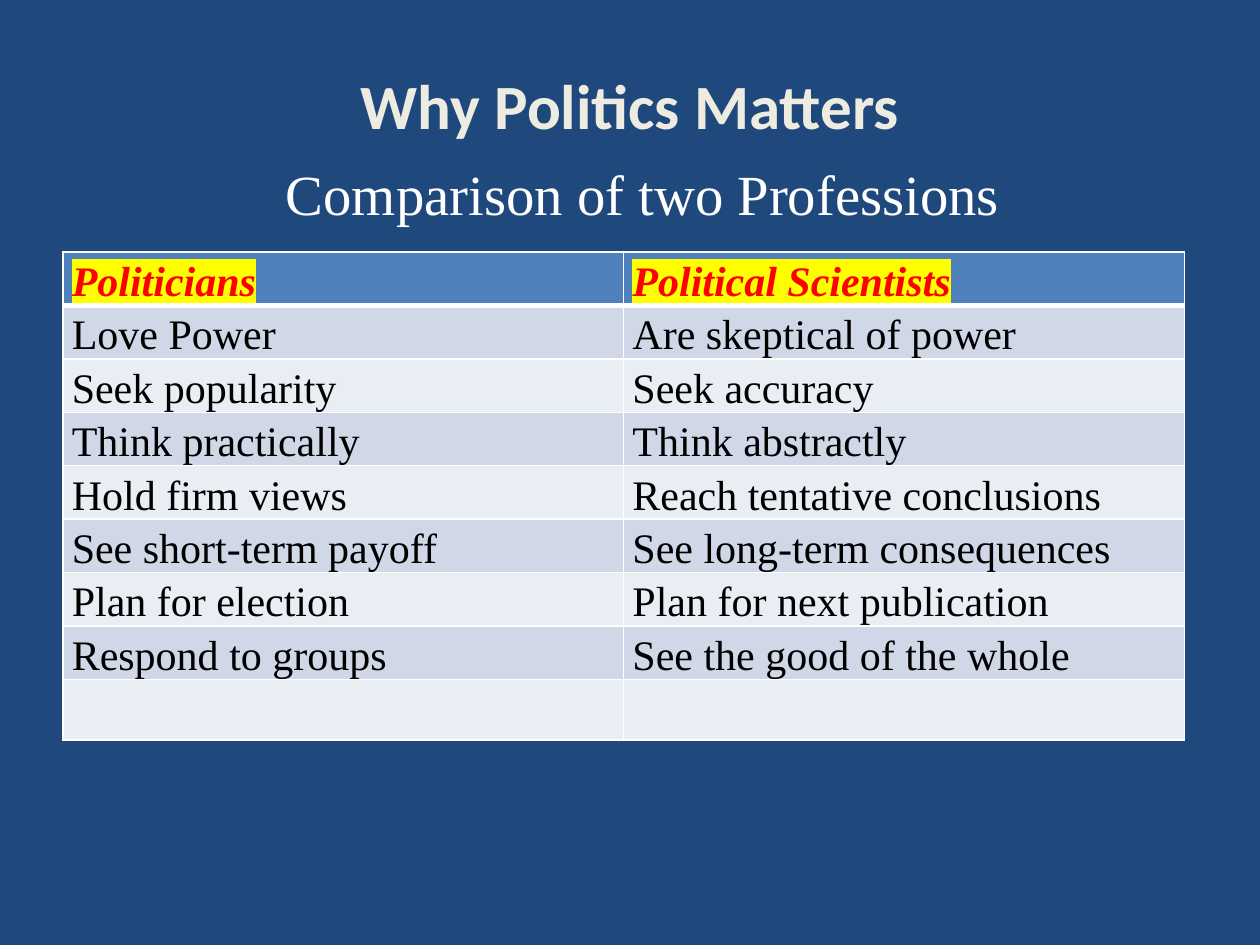
from lxml.etree import SubElement
from pptx import Presentation
from pptx.dml.color import RGBColor
from pptx.enum.text import MSO_ANCHOR, PP_ALIGN
from pptx.oxml.ns import qn
from pptx.util import Inches, Pt

HUES = {"back": "1F497D", "head": "4F81BD", "odd": "D0D8E8", "even": "E9EDF4",
        "white": "FFFFFF", "cream": "EEECE1", "red": "FF0000",
        "black": "000000", "mark": "FFFF00"}
SERIF, SANS = "Times New Roman", "Calibri"
ROWS = [
    ("Politicians", "Political Scientists"),
    ("Love Power", "Are skeptical of power"),
    ("Seek popularity", "Seek accuracy"),
    ("Think practically", "Think abstractly"),
    ("Hold firm views", "Reach tentative conclusions"),
    ("See short-term payoff", "See long-term consequences"),
    ("Plan for election", "Plan for next publication"),
    ("Respond to groups", "See the good of the whole"),
    ("", ""),
]


class Deck:
    """Holds the style and the current slide; boxes are shares of its size."""

    def __init__(self, wide, high):
        self.prs = Presentation()
        self.prs.slide_width, self.prs.slide_height = Inches(wide), Inches(high)
        self.slide = self.prs.slides.add_slide(self.prs.slide_layouts[5])
        self.paint(self.slide.background.fill, "back")

    def paint(self, fill, hue):
        fill.solid()
        fill.fore_color.rgb = RGBColor.from_string(HUES[hue])

    def area(self, x, y, w, h):
        wide, high = self.prs.slide_width, self.prs.slide_height
        return int(x * wide), int(y * high), int(w * wide), int(h * high)

    def add_text(self, para, text, size, hue, face=SERIF, bold=False,
                 slant=False, mark=None):
        run = para.add_run()
        run.text = text
        font = run.font
        font.size, font.name, font.bold, font.italic = Pt(size), face, bold, slant
        font.color.rgb = RGBColor.from_string(HUES[hue])
        if mark:
            props = run._r.get_or_add_rPr()
            light = SubElement(props, qn("a:highlight"))
            SubElement(light, qn("a:srgbClr"), val=HUES[mark])
            props.find(qn("a:solidFill")).addnext(light)

    def fit(self, frame, anchor):
        frame.word_wrap = True
        frame.vertical_anchor = anchor
        para = frame.paragraphs[0]
        para.alignment = PP_ALIGN.CENTER
        return para

    def title(self, box, text, size, hue):
        shape = self.slide.shapes.title
        shape.left, shape.top, shape.width, shape.height = self.area(*box)
        shape.text_frame.margin_bottom = 0
        para = self.fit(shape.text_frame, MSO_ANCHOR.BOTTOM)
        self.add_text(para, text, size, hue)

    def label(self, box, text, size, hue, **look):
        shape = self.slide.shapes.add_textbox(*self.area(*box))
        para = self.fit(shape.text_frame, MSO_ANCHOR.MIDDLE)
        self.add_text(para, text, size, hue, **look)

    def edge(self, cell, **sides):
        """Draws white cell borders, given as side=points."""
        props = cell._tc.get_or_add_tcPr()
        for side, size in sides.items():
            line = SubElement(props, qn(f"a:ln{side}"), w=str(Pt(size)))
            fill = SubElement(line, qn("a:solidFill"))
            SubElement(fill, qn("a:srgbClr"), val=HUES["white"])

    def table(self, box, rows, high, last):
        grid = self.slide.shapes.add_table(
            len(rows), len(rows[0]), *self.area(*box)).table
        for r, row in enumerate(rows):
            grid.rows[r].height = Inches(last if r == len(rows) - 1 else high)
            for c, text in enumerate(row):
                self.cell(grid.cell(r, c), r, text)

    def cell(self, cell, r, text):
        self.edge(cell, L=1, R=1, T=3 if r == 1 else 1, B=3 if r == 0 else 1)
        self.paint(cell.fill, "head" if r == 0 else "odd" if r % 2 else "even")
        if not text:
            return
        cell.margin_left = cell.margin_right = Inches(0.07)
        cell.margin_top = cell.margin_bottom = 0
        para = cell.text_frame.paragraphs[0]
        para.alignment, para.line_spacing = PP_ALIGN.JUSTIFY, 1.15
        if r == 0:
            self.add_text(para, text, 24, "red", bold=True, slant=True, mark="mark")
        else:
            self.add_text(para, text, 24, "black")


def main():
    deck = Deck(10, 7.5)
    # Shares go to two decimals of an inch on this slide.
    deck.title((0.07, 0.03, 0.88, 0.21), "Comparison of two Professions",
               32.4, "white")
    deck.table((0.05, 2 / 7.5, 0.89, 0.52), ROWS, 0.41, 0.48)
    deck.label((0.05, 0.04, 0.9, 0.14), "Why Politics Matters", 36, "cream",
               face=SANS, bold=True)
    deck.prs.save("out.pptx")


if __name__ == "__main__":
    main()
